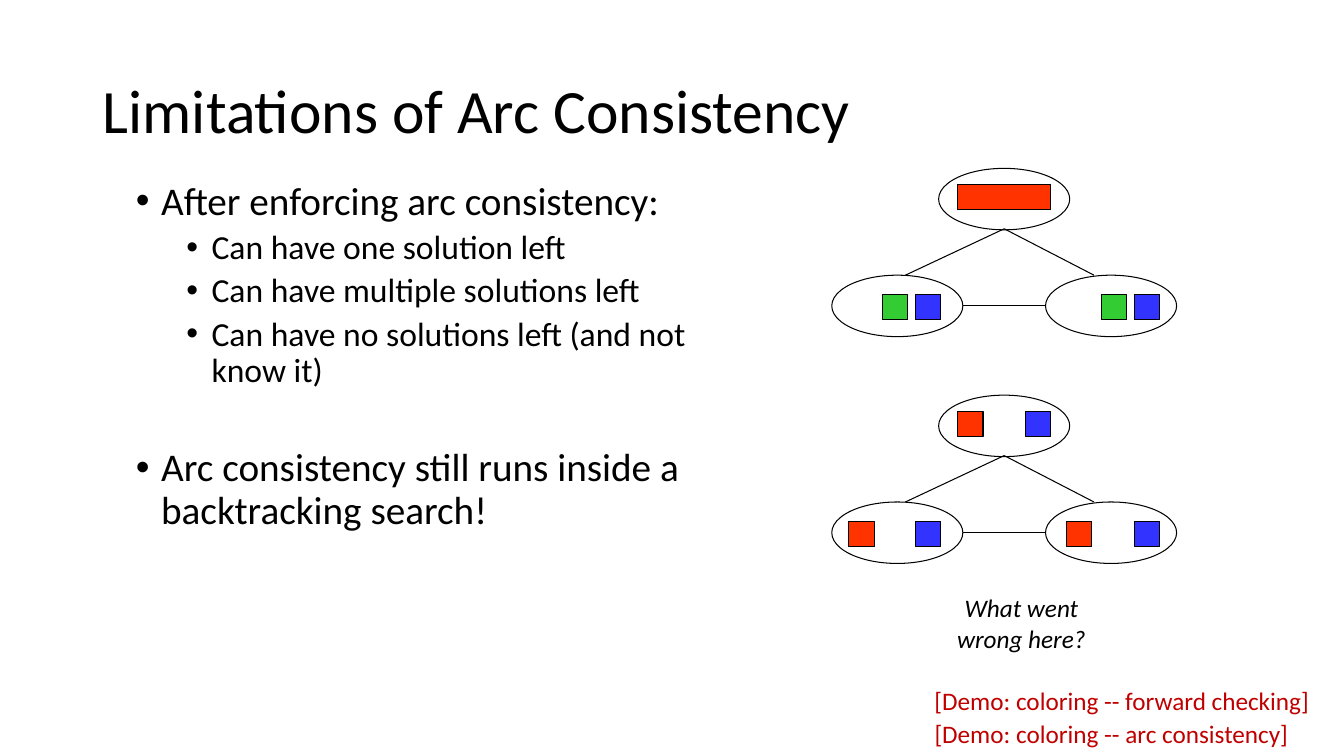
"""Build the slide on the limitations of arc consistency."""
from lxml import etree
from pptx import Presentation
from pptx.dml.color import RGBColor
from pptx.enum.shapes import MSO_CONNECTOR, MSO_SHAPE
from pptx.enum.text import MSO_ANCHOR, PP_ALIGN
from pptx.oxml.ns import qn
from pptx.util import Inches, Pt

OVAL, RECT = MSO_SHAPE.OVAL, MSO_SHAPE.RECTANGLE
LINE = MSO_CONNECTOR.STRAIGHT
LEFT, CENTER = PP_ALIGN.LEFT, PP_ALIGN.CENTER
TOP, MIDDLE = MSO_ANCHOR.TOP, MSO_ANCHOR.MIDDLE
FONT = "Calibri"
BLACK, RED, GREEN, BLUE, DEMO = "000000", "FF3300", "33CC33", "3333FF", "C00000"

TITLE = "Limitations of Arc Consistency"
BODY = [
    (0, 10, "After enforcing arc consistency:"),
    (1, 5, "Can have one solution left"),
    (1, 5, "Can have multiple solutions left"),
    (1, 5, "Can have no solutions left (and not know it)"),
    (0, 41.5, "Arc consistency still runs inside a backtracking search!"),
]
LEVELS = [(28, 0.25), (24, 0.75)]
NOTES = [
    ("What went wrong here?", (9.17, 5.83, 1.92, 0.71), BLACK, CENTER, True),
    ("[Demo: coloring -- forward checking]", (9.17, 6.75, 4.2, 0.4), DEMO, LEFT, False),
    ("[Demo: coloring -- arc consistency]", (9.17, 7.08, 3.99, 0.4), DEMO, LEFT, False),
]

NODE, SIDE = (1.3, 0.61), 0.25
NODES = [(9.31, 0), (10.37, 1.06), (8.25, 1.06)]
EDGES = [
    (9.96, 0.6, 8.98, 1.06),
    (9.96, 0.6, 10.85, 1.06),
    (9.55, 1.36, 10.37, 1.36),
]
HIGH, LOW = 0.16, 1.25
GRAPHS = [
    (1.67, [(9.5, HIGH, 0.92, RED),
            (8.75, LOW, SIDE, GREEN), (9.08, LOW, SIDE, BLUE),
            (10.92, LOW, SIDE, GREEN), (11.25, LOW, SIDE, BLUE)]),
    (3.92, [(9.5, HIGH, SIDE, RED), (10.17, HIGH, SIDE, BLUE),
            (8.42, LOW, SIDE, RED), (9.08, LOW, SIDE, BLUE),
            (10.58, LOW, SIDE, RED), (11.25, LOW, SIDE, BLUE)]),
]


def color(code):
    return RGBColor.from_string(code)


def write(para, text, size=18, tint=BLACK, align=LEFT, italic=False,
          spacing=1.0, before=0):
    para.alignment = align
    para.line_spacing = spacing
    para.space_before = Pt(before)
    run = para.add_run()
    run.text = text
    font = run.font
    font.name, font.size, font.italic = FONT, Pt(size), italic
    font.color.rgb = color(tint)


def bullet(para, indent):
    props = para._p.get_or_add_pPr()
    props.set("marL", str(Inches(indent)))
    props.set("indent", str(Inches(-0.25)))
    etree.SubElement(props, qn("a:buFont")).set("typeface", "Arial")
    etree.SubElement(props, qn("a:buChar")).set("char", "•")


def place(shape, box):
    shape.left, shape.top, shape.width, shape.height = map(Inches, box)


def add_box(slide, box):
    frame = slide.shapes.add_textbox(*map(Inches, box)).text_frame
    frame.word_wrap = True
    frame.vertical_anchor = TOP
    return frame


def draw(shapes, kind, box, fill=None):
    shape = shapes.add_shape(kind, *map(Inches, box))
    shape.shadow.inherit = False
    if fill:
        shape.fill.solid()
        shape.fill.fore_color.rgb = color(fill)
    else:
        shape.fill.background()
    shape.line.color.rgb = color(BLACK)
    shape.line.width = Pt(0.75)


def link(shapes, ends):
    edge = shapes.add_connector(LINE, *map(Inches, ends))
    edge.line.color.rgb = color(BLACK)
    edge.line.width = Pt(0.75)
    etree.SubElement(edge._element.spPr, qn("a:effectLst"))


def add_graph(slide, top, squares):
    group = slide.shapes.add_group_shape().shapes
    for x, y in NODES:
        draw(group, OVAL, (x, top + y, *NODE))
    for x1, y1, x2, y2 in EDGES:
        link(group, (x1, top + y1, x2, top + y2))
    for x, y, width, fill in squares:
        draw(slide.shapes, RECT, (x, top + y, width, SIDE), fill)


def main():
    deck = Presentation()
    deck.slide_width, deck.slide_height = Inches(13.33), Inches(7.5)
    slide = deck.slides.add_slide(deck.slide_layouts[5])

    title = slide.shapes.title
    place(title, (0.92, 0.4, 11.5, 1.45))
    title.text_frame.vertical_anchor = MIDDLE
    write(title.text_frame.paragraphs[0], TITLE, size=44, spacing=0.9)

    frame = add_box(slide, (1.25, 1.75, 6.08, 4.95))
    for i, (level, before, text) in enumerate(BODY):
        para = frame.add_paragraph() if i else frame.paragraphs[0]
        size, indent = LEVELS[level]
        para.level = level
        write(para, text, size=size, spacing=0.9, before=before)
        bullet(para, indent)

    for top, squares in GRAPHS:
        add_graph(slide, top, squares)
    for text, box, tint, align, italic in NOTES:
        write(add_box(slide, box).paragraphs[0], text,
              tint=tint, align=align, italic=italic)
    deck.save("out.pptx")


if __name__ == "__main__":
    main()
